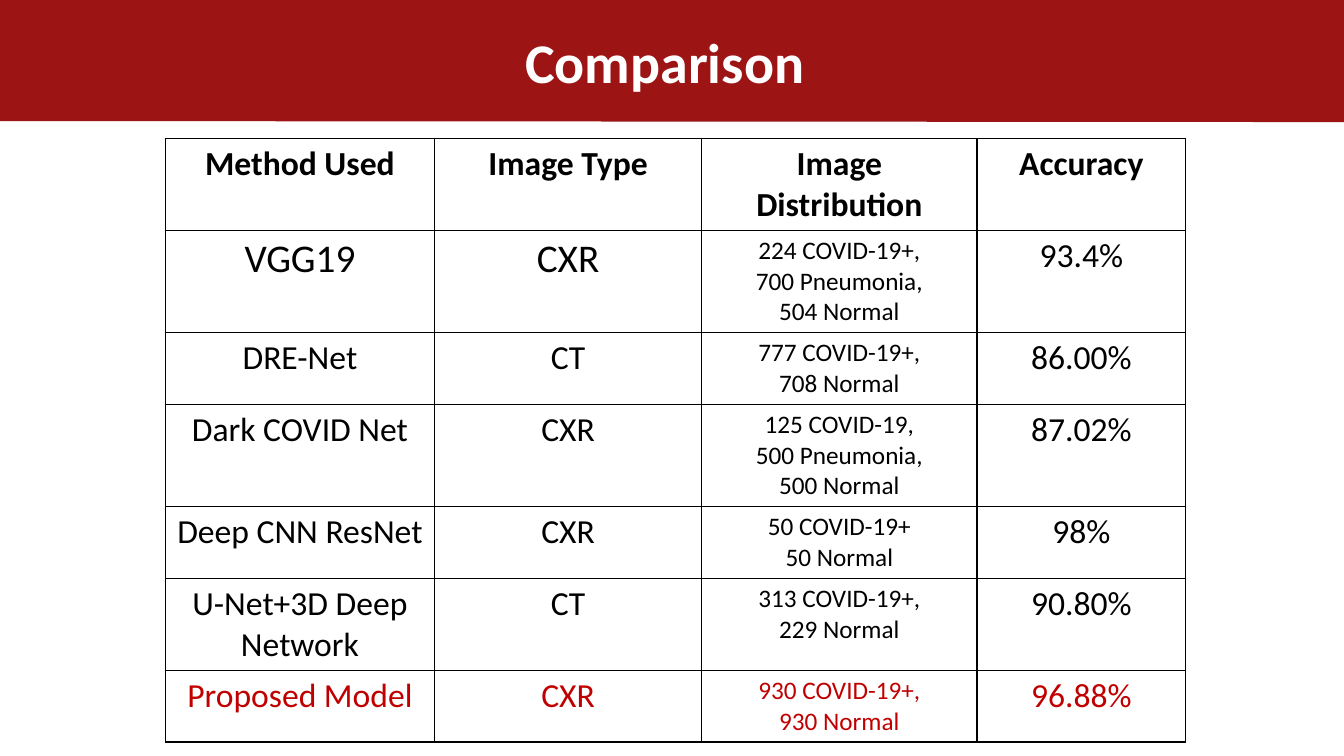
from lxml import etree
from pptx import Presentation
from pptx.dml.color import RGBColor
from pptx.enum.shapes import MSO_CONNECTOR
from pptx.enum.text import MSO_ANCHOR, PP_ALIGN
from pptx.oxml.ns import qn
from pptx.util import Inches, Pt

STRAIGHT = MSO_CONNECTOR.STRAIGHT
LEFT, CENTER = PP_ALIGN.LEFT, PP_ALIGN.CENTER
MIDDLE = MSO_ANCHOR.MIDDLE
TITLE_ONLY = 5

COLORS = {
    "band": "9C1414",
    "paper": "FFFFFF",
    "ink": "000000",
    "highlight": "C00000",
}
COLUMN_WIDTHS = [2.67, 2.65, 2.73, 2.07]
ROW_HEIGHTS = [0.89, 1, 0.7, 1, 0.7, 0.9, 0.7]
HEADINGS = ["Method Used", "Image Type", "Image Distribution", "Accuracy"]
METHODS = [
    ["VGG19", "CXR", "224 COVID-19+,\n700 Pneumonia,\n504 Normal", "93.4%"],
    ["DRE-Net", "CT", "777 COVID-19+,\n708 Normal", "86.00%"],
    ["Dark COVID Net", "CXR", "125 COVID-19,\n500 Pneumonia,\n500 Normal", "87.02%"],
    ["Deep CNN ResNet", "CXR", "50 COVID-19+\n50 Normal", "98%"],
    ["U-Net+3D Deep Network", "CT", "313 COVID-19+,\n229 Normal", "90.80%"],
    ["Proposed Model", "CXR", "930 COVID-19+,\n930 Normal", "96.88%"],
]
HEADING_SIZES = [24] * 4
FIRST_SIZES = [28, 28, 18, 24]
BODY_SIZES = [24, 24, 18, 24]


def color(name):
    return RGBColor.from_string(COLORS[name])


class SlideBuilder:
    """Holds the text style and the current page."""

    font = "Calibri"

    def __init__(self, deck):
        self.page = deck.slides.add_slide(deck.slide_layouts[TITLE_ONLY])

    def fill_text(self, frame, text, size, ink="ink", bold=False, align=CENTER):
        frame.text = text
        for para in frame.paragraphs:
            para.alignment = align
            para.line_spacing = 1.0
            for span in para.runs:
                style = {"name": self.font, "size": Pt(size), "bold": bold}
                for key, value in style.items():
                    setattr(span.font, key, value)
                span.font.color.rgb = color(ink)

    def band(self, start, end, width):
        """Draws a thick line behind everything already on the page."""
        line = self.page.shapes.add_connector(STRAIGHT, *map(Inches, start + end))
        line.line.color.rgb = color("band")
        line.line.width = Pt(width)
        etree.SubElement(line._element.spPr, qn("a:effectLst"))
        self.page.shapes._spTree.insert(2, line._element)

    def title(self, text, left, top, width, height):
        box = self.page.shapes.title
        place = {"left": left, "top": top, "width": width, "height": height}
        for key, value in place.items():
            setattr(box, key, Inches(value))
        box.text_frame.word_wrap = False
        box.text_frame.vertical_anchor = MIDDLE
        self.fill_text(box.text_frame, text, 40, "paper", True, LEFT)

    def border(self, cell, width=1):
        properties = cell._tc.get_or_add_tcPr()
        for index, side in enumerate(("lnL", "lnR", "lnT", "lnB")):
            edge = etree.Element(qn(f"a:{side}"), w=str(Pt(width)))
            fill = etree.SubElement(edge, qn("a:solidFill"))
            etree.SubElement(fill, qn("a:srgbClr"), val=COLORS["ink"])
            properties.insert(index, edge)

    def table(self, left, top, rows):
        """Adds a grid; each row is (texts, sizes, ink, bold)."""
        frame = self.page.shapes.add_table(
            len(rows), len(COLUMN_WIDTHS), Inches(left), Inches(top),
            Inches(sum(COLUMN_WIDTHS)), Inches(sum(ROW_HEIGHTS)))
        grid = frame.table
        for column, width in zip(grid.columns, COLUMN_WIDTHS):
            column.width = Inches(width)
        for row, height, (texts, sizes, ink, bold) in zip(grid.rows, ROW_HEIGHTS, rows):
            row.height = Inches(height)
            for cell, text, size in zip(row.cells, texts, sizes):
                cell.fill.solid()
                cell.fill.fore_color.rgb = color("paper")
                self.border(cell)
                self.fill_text(cell.text_frame, text, size, ink, bold)


def main():
    deck = Presentation()
    deck.slide_width, deck.slide_height = Inches(13.33), Inches(7.5)
    builder = SlideBuilder(deck)
    builder.title("Comparison", 5.11, 0.22, 3, 0.77)
    builder.band((0, 0.59), (13.33, 0.6), 88)

    first, *middle, proposed = METHODS
    rows = [(HEADINGS, HEADING_SIZES, "ink", True), (first, FIRST_SIZES, "ink", False)]
    rows += [(method, BODY_SIZES, "ink", False) for method in middle]
    rows.append((proposed, BODY_SIZES, "highlight", False))
    builder.table(1.64, 1.37, rows)
    deck.save("out.pptx")


if __name__ == "__main__":
    main()
